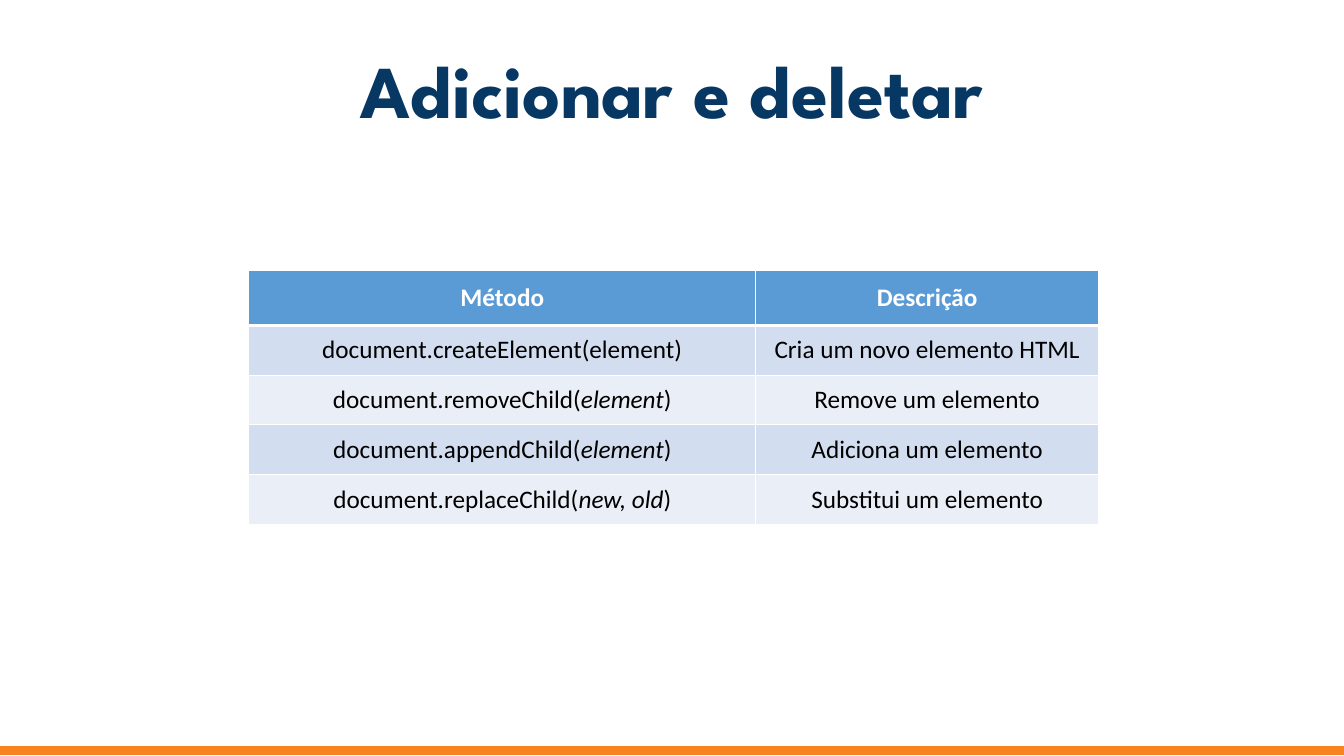
import pptx
import pptx.util
from lxml import etree
from pptx.dml.color import RGBColor
from pptx.enum.shapes import MSO_SHAPE
from pptx.enum.text import MSO_ANCHOR, MSO_AUTO_SIZE, PP_ALIGN
from pptx.oxml.ns import qn

Pt = pptx.util.Pt

# Content: a cell is a list of (text, italic) runs
TITLE = "Adicionar e deletar"
HEADER = ("Método", "Descrição")
METHODS = [
    ([("document.createElement(element)", False)], "Cria um novo elemento HTML"),
    ([("document.removeChild(", False), ("element", True), (")", False)], "Remove um elemento"),
    ([("document.appendChild(", False), ("element", True), (")", False)], "Adiciona um elemento"),
    ([("document.replaceChild(", False), ("new, old", True), (")", False)], "Substitui um elemento"),
]
COLORS = {
    "title": "073763", "footer": "F78321", "header": "5B9BD5", "odd": "D2DEEF",
    "even": "EAEFF7", "white": "FFFFFF", "black": "000000",
}
SLIDE_WIDTH, SLIDE_HEIGHT = 960, 540
FOOTER_TOP = 533
COLUMN_WIDTHS = (362, 245)
HEADER_HEIGHT, METHOD_HEIGHT = 39, 35.5


def rgb(name):
    return RGBColor.from_string(COLORS[name])


def write(frame, content, font="Calibri", size=18, color="black", bold=False):
    paragraph = frame.paragraphs[0]
    paragraph.alignment = PP_ALIGN.CENTER
    runs = [(content, False)] if isinstance(content, str) else content
    for text, italic in runs:
        run = paragraph.add_run()
        run.text = text
        run.font.name, run.font.size = font, Pt(size)
        run.font.bold, run.font.italic = bold, italic
        run.font.color.rgb = rgb(color)


def add_border(cell, side, width):
    line = etree.SubElement(cell._tc.get_or_add_tcPr(), qn("a:ln" + side), w=str(Pt(width)))
    fill = etree.SubElement(line, qn("a:solidFill"))
    etree.SubElement(fill, qn("a:srgbClr"), val=COLORS["white"])


presentation = pptx.Presentation()
presentation.slide_width, presentation.slide_height = Pt(SLIDE_WIDTH), Pt(SLIDE_HEIGHT)
slide = presentation.slides.add_slide(presentation.slide_layouts[5])

# Title
title = slide.shapes.title
title.left, title.top, title.width, title.height = Pt(32.7), Pt(32.4), Pt(894.4), Pt(62)
title_frame = title.text_frame
title_frame.word_wrap = True
title_frame.auto_size = MSO_AUTO_SIZE.NONE
title_frame.vertical_anchor = MSO_ANCHOR.MIDDLE
title_frame.margin_left = title_frame.margin_right = Pt(9.6)
title_frame.margin_top = title_frame.margin_bottom = Pt(9.6)
write(title_frame, TITLE, font="League Spartan", size=53.3, color="title", bold=True)

# Footer band
footer = slide.shapes.add_shape(
    MSO_SHAPE.RECTANGLE, 0, Pt(FOOTER_TOP), Pt(SLIDE_WIDTH), Pt(6))
footer.shadow.inherit = False
footer.fill.solid()
footer.fill.fore_color.rgb = rgb("footer")
footer.line.color.rgb = rgb("footer")
footer.line.width = Pt(0.75)

# Table of methods
rows = [HEADER] + METHODS
table_height = HEADER_HEIGHT + METHOD_HEIGHT * len(METHODS)
methods = slide.shapes.add_table(
    len(rows), len(HEADER), Pt(177.8), Pt(193.5),
    Pt(sum(COLUMN_WIDTHS)), Pt(table_height)).table
for column, width in zip(methods.columns, COLUMN_WIDTHS):
    column.width = Pt(width)

for r, row in enumerate(rows):
    is_header = r == 0
    methods.rows[r].height = Pt(HEADER_HEIGHT if is_header else METHOD_HEIGHT)
    fill_name = "header" if is_header else ("odd" if r % 2 else "even")
    for c, content in enumerate(row):
        cell = methods.cell(r, c)
        cell.vertical_anchor = MSO_ANCHOR.MIDDLE
        for side in "LRTB":
            below_header = (r, side) in ((0, "B"), (1, "T"))
            add_border(cell, side, 3 if below_header else 1)
        cell.fill.solid()
        cell.fill.fore_color.rgb = rgb(fill_name)
        write(cell.text_frame, content, bold=is_header,
              color="white" if is_header else "black")

presentation.save("out.pptx")
